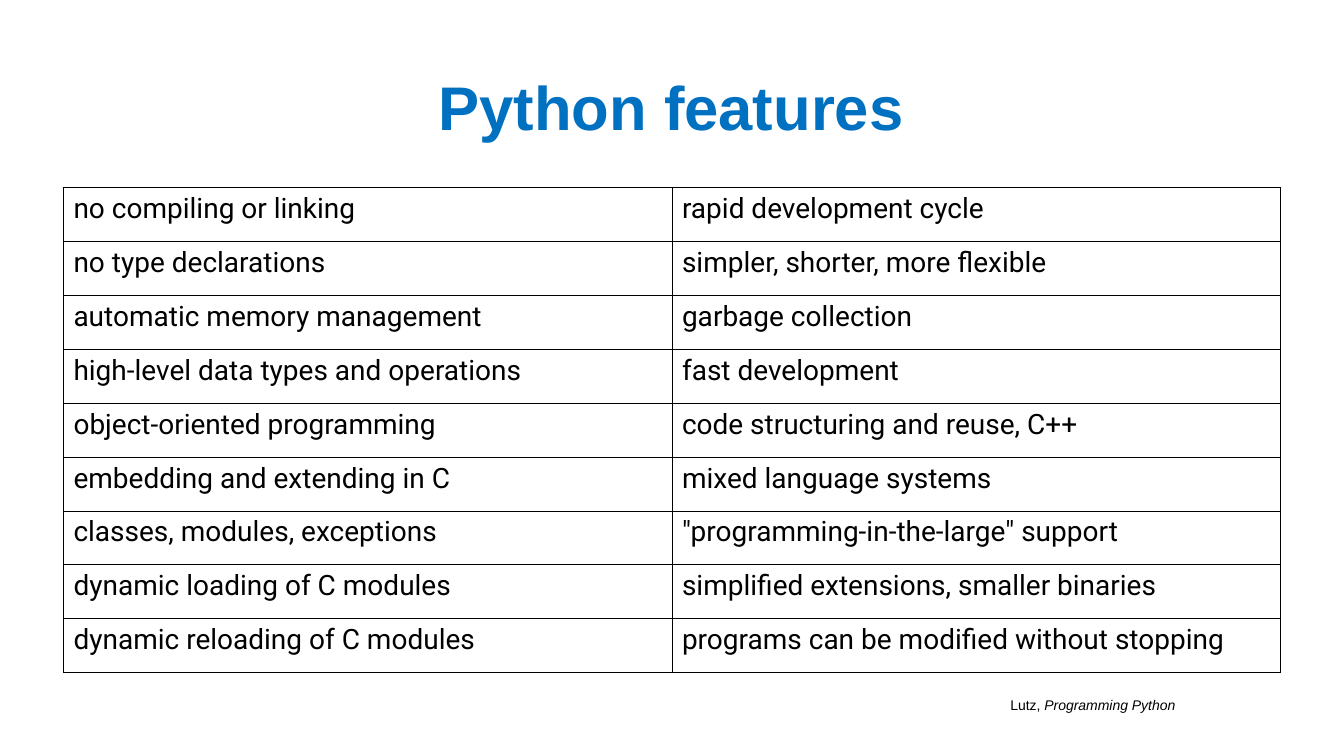
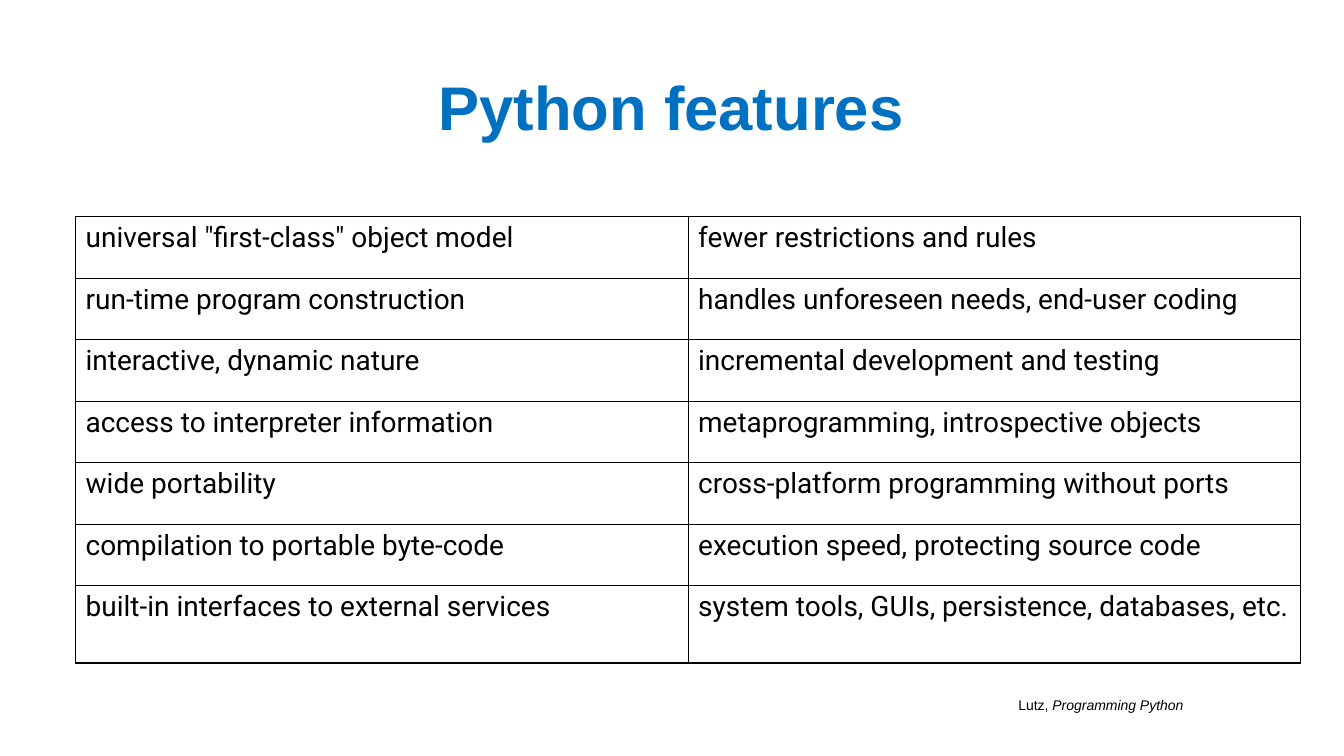
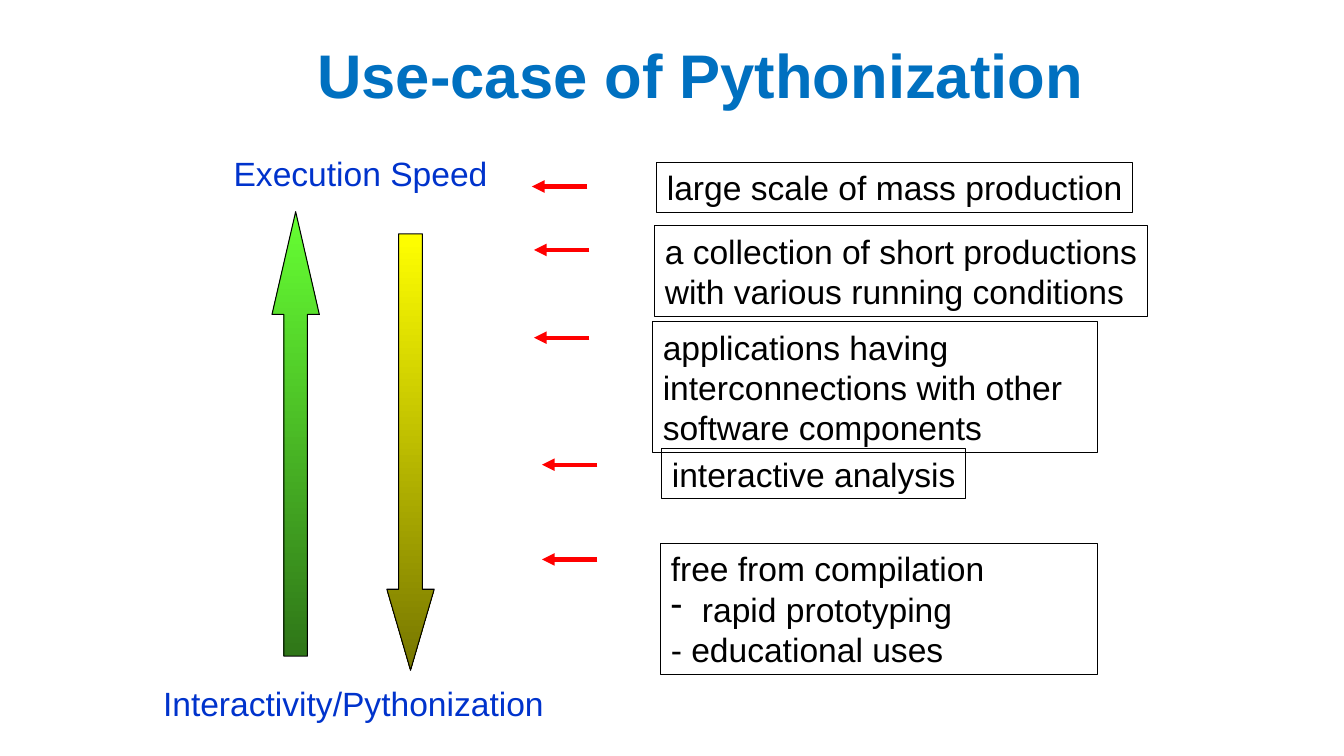
from lxml import etree
from pptx import Presentation
from pptx import util as u
from pptx.dml.color import RGBColor
from pptx.enum import shapes, text
from pptx.oxml import ns

WIDTH, HEIGHT = 13.34, 7.5
BLACK, TITLE_BLUE, LABEL_BLUE, RED = "000000", "0070C0", "0033CC", "FF0000"
OUTER, INNER = 1.08, 0.45
ARROW_LENGTH = 0.55
BULLET_INDENT = 0.31

TITLE_BOX = (1, 0.42, 11.33, 1.25)
CITATION = [("Lutz, ", False), ("Programming Python", True)]

FEATURE_SLIDES = [
    {
        "title": "Python features",
        "origin": (0.63, 1.86),
        "column": 6.04,
        "heights": [0.535] * 9,
        "citation_left": 9.93,
        "rows": [
            ("no compiling or linking", "rapid development cycle"),
            ("no type declarations", "simpler, shorter, more flexible"),
            ("automatic memory management", "garbage collection"),
            ("high-level data types and operations", "fast development"),
            ("object-oriented programming", "code structuring and reuse, C++"),
            ("embedding and extending in C", "mixed language systems"),
            ("classes, modules, exceptions", '"programming-in-the-large" support'),
            ("dynamic loading of C modules", "simplified extensions, smaller binaries"),
            ("dynamic reloading of C modules", "programs can be modified without stopping"),
        ],
    },
    {
        "title": "Python features",
        "origin": (0.75, 2.15),
        "column": 6.08,
        "heights": [0.61] * 6 + [0.77],
        "citation_left": 10.01,
        "rows": [
            ('universal "first-class" object model', "fewer restrictions and rules"),
            ("run-time program construction", "handles unforeseen needs, end-user coding"),
            ("interactive, dynamic nature", "incremental development and testing"),
            ("access to interpreter information", "metaprogramming, introspective objects"),
            ("wide portability", "cross-platform programming without ports"),
            ("compilation to portable byte-code", "execution speed, protecting source code"),
            ("built-in interfaces to external services", "system tools, GUIs, persistence, databases, etc."),
        ],
    },
]

SCALES = [
    ("UP_ARROW", (2.7, 2.1, 0.47, 4.41), 2.17, ("66FF33", "2F7618")),
    ("DOWN_ARROW", (3.84, 2.32, 0.47, 4.33), 1.71, ("FFFF00", "767600")),
]
SCALE_LABELS = [
    ("Execution Speed", (2.22, 1.47, 2.72, 0.5)),
    ("Interactivity/Pythonization", (1.52, 6.73, 5.54, 0.5)),
]
USE_CASES = [
    {"box": (6.52, 1.61, 4.72, 0.5), "arrow": (5.83, 1.85), "wrap": False,
     "lines": ["large scale of mass production"]},
    {"box": (6.5, 2.24, 4.89, 0.9), "arrow": (5.85, 2.48), "wrap": False,
     "lines": ["a collection of short productions", "with various running conditions"]},
    {"box": (6.48, 3.19, 4.41, 1.3), "arrow": (5.85, 3.35), "wrap": True,
     "lines": ["applications having interconnections with other software components"]},
    {"box": (6.57, 4.45, 3.01, 0.5), "arrow": (5.93, 4.61), "wrap": False,
     "lines": ["interactive analysis"]},
    {"box": (6.56, 5.39, 4.33, 1.3), "arrow": (5.93, 5.55), "wrap": True, "bullets": (1,),
     "lines": ["free from compilation", "rapid prototyping", "- educational uses"]},
]


def color(value):
    return RGBColor.from_string(value)


def inches(*lengths):
    return [u.Inches(length) for length in lengths]


def add_xml(parent, tag, **attributes):
    return etree.SubElement(parent, ns.qn(tag), attributes)


def add_bullet(paragraph):
    properties = paragraph._p.get_or_add_pPr()
    indent = u.Inches(BULLET_INDENT)
    properties.set("marL", str(indent))
    properties.set("indent", str(-indent))
    add_xml(properties, "a:buChar", char="-")


def write(frame, lines, size=24, font="Arial", fill=BLACK, bold=False,
          align=text.PP_ALIGN.LEFT, anchor=text.MSO_ANCHOR.TOP, wrap=True, bullets=()):
    frame.word_wrap = wrap
    frame.vertical_anchor = anchor
    for index, line in enumerate(lines):
        paragraph = frame.paragraphs[0] if index == 0 else frame.add_paragraph()
        paragraph.alignment = align
        if index in bullets:
            add_bullet(paragraph)
        for words, italic in [(line, False)] if isinstance(line, str) else line:
            run = paragraph.add_run()
            run.text = words
            run.font.name, run.font.size = font, u.Pt(size)
            run.font.bold, run.font.italic = bold, italic
            run.font.color.rgb = color(fill)


def add_text(slide, lines, box, **style):
    write(slide.shapes.add_textbox(*inches(*box)).text_frame, lines, **style)


def add_title(slide, title, box=TITLE_BOX):
    add_text(slide, [title], box, size=44, fill=TITLE_BLUE, bold=True,
             align=text.PP_ALIGN.CENTER, anchor=text.MSO_ANCHOR.MIDDLE)


def add_outlined(slide, kind, box):
    shape = slide.shapes.add_shape(getattr(shapes.MSO_SHAPE, kind), *inches(*box))
    shape.shadow.inherit = False
    shape.line.color.rgb = color(BLACK)
    shape.line.width = u.Pt(0.75)
    return shape


def set_borders(cell, **on_edge):
    properties = cell._tc.get_or_add_tcPr()
    for side in "LRTB":
        width = u.Pt(OUTER if on_edge[side] else INNER)
        line = add_xml(properties, f"a:ln{side}", w=str(width))
        add_xml(add_xml(line, "a:solidFill"), "a:srgbClr", val=BLACK)


def add_feature_table(slide, rows, origin, column, heights):
    count = len(rows)
    frame = slide.shapes.add_table(count, 2, *inches(*origin, 2 * column, sum(heights)))
    table = frame.table
    table.first_row = table.horz_banding = False
    for table_column in table.columns:
        table_column.width = u.Inches(column)
    for row, (entries, height) in enumerate(zip(rows, heights)):
        table.rows[row].height = u.Inches(height)
        for col, entry in enumerate(entries):
            cell = table.cell(row, col)
            set_borders(cell, L=col == 0, R=col == 1, T=row == 0, B=row == count - 1)
            cell.fill.background()
            write(cell.text_frame, [entry], size=20, font="Roboto")


def add_scale(slide, kind, box, head, stops):
    shape = add_outlined(slide, kind, box)
    shape.adjustments[0], shape.adjustments[1] = 0.5, head
    shape.fill.gradient()
    shape.fill.gradient_angle = 270
    for stop, value in zip(shape.fill.gradient_stops, stops):
        stop.color.rgb = color(value)


def add_pointer(slide, left, top):
    line = slide.shapes.add_connector(
        shapes.MSO_CONNECTOR.STRAIGHT, *inches(left, top, left - ARROW_LENGTH, top))
    line.line.color.rgb = color(RED)
    line.line.width = u.Pt(3)
    add_xml(line.line._get_or_add_ln(), "a:tailEnd", type="triangle")
    add_xml(line._element.spPr, "a:effectLst")


def build_features(slide, content):
    add_feature_table(slide, content["rows"], content["origin"], content["column"], content["heights"])
    add_text(slide, [CITATION], (content["citation_left"], 6.86, 1.84, 0.27), size=10, wrap=False)
    add_title(slide, content["title"])


def build_use_cases(slide):
    add_title(slide, "Use-case of Pythonization", (2.83, 0.26, 8.25, 0.94))
    for scale in SCALES:
        add_scale(slide, *scale)
    for label, box in SCALE_LABELS:
        add_text(slide, [label], box, fill=LABEL_BLUE)
    for case in USE_CASES:
        add_pointer(slide, *case["arrow"])
        shape = add_outlined(slide, "RECTANGLE", case["box"])
        shape.fill.background()
        write(shape.text_frame, case["lines"], wrap=case["wrap"], bullets=case.get("bullets", ()))


def main():
    presentation = Presentation()
    presentation.slide_width, presentation.slide_height = inches(WIDTH, HEIGHT)
    blank = presentation.slide_layouts[6]
    for content in FEATURE_SLIDES:
        build_features(presentation.slides.add_slide(blank), content)
    build_use_cases(presentation.slides.add_slide(blank))
    presentation.save("out.pptx")


if __name__ == "__main__":
    main()
